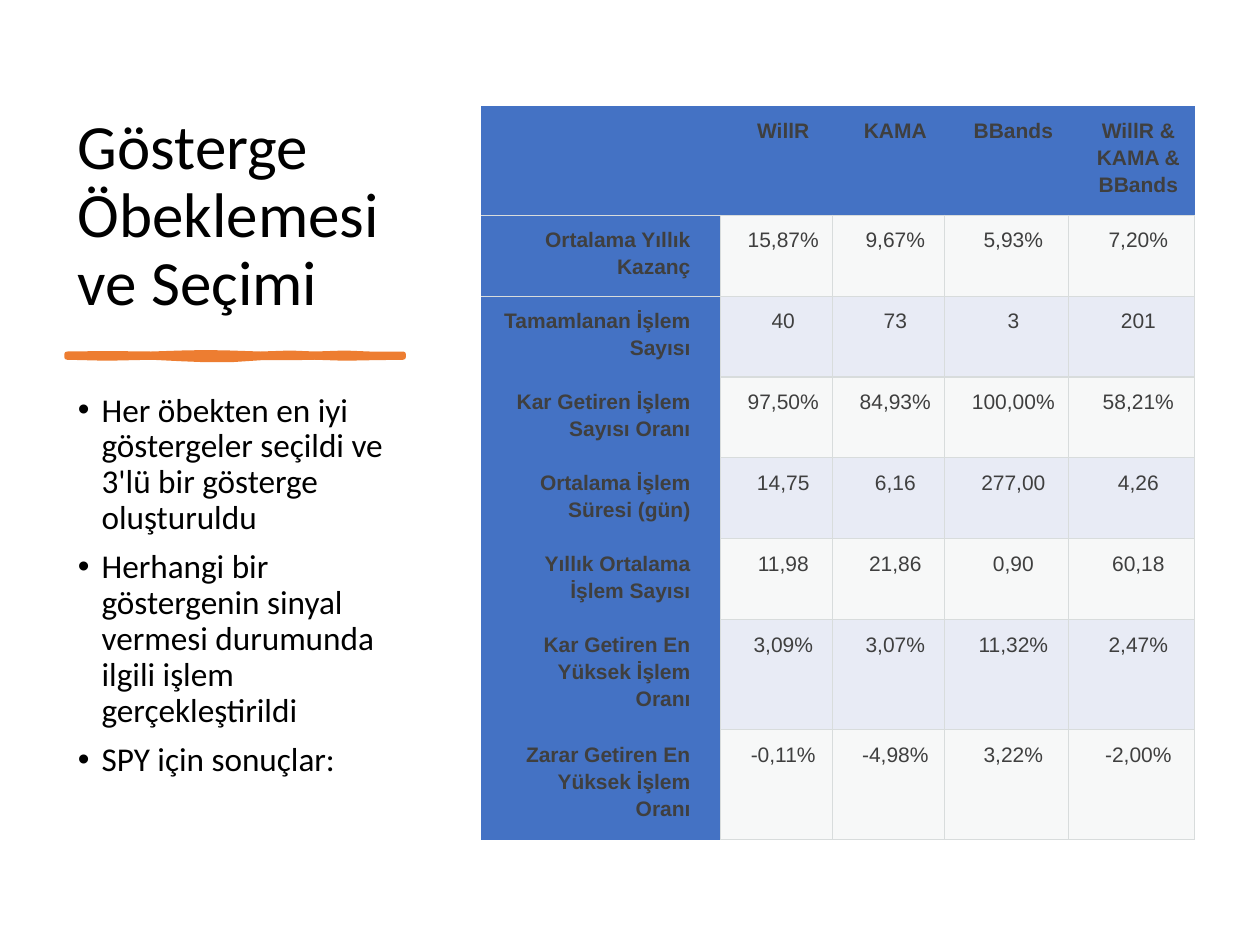
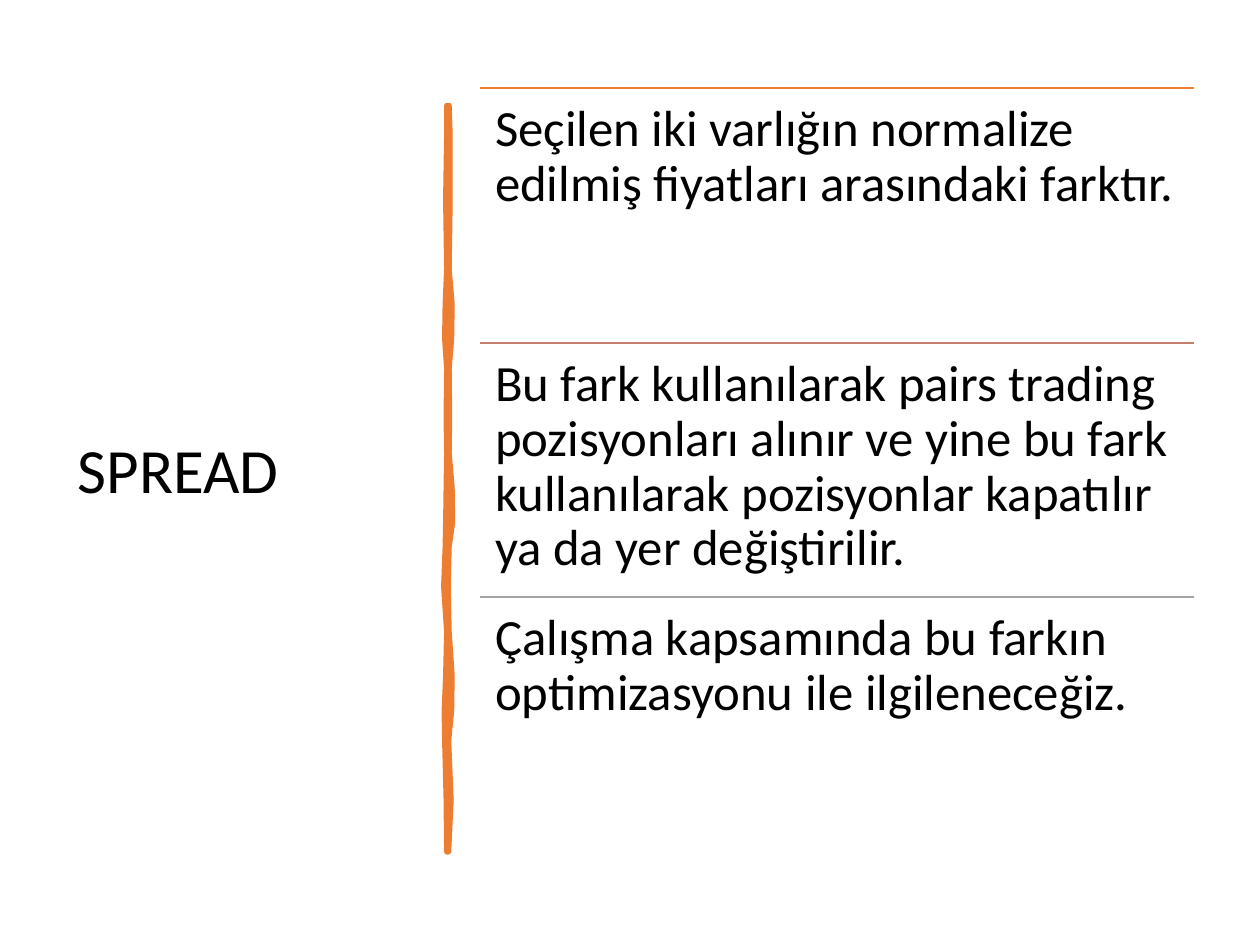
from lxml.etree import SubElement
from pptx import Presentation
from pptx.dml.color import RGBColor
from pptx.enum.shapes import MSO_CONNECTOR as Connector
from pptx.enum.text import MSO_ANCHOR as Anchor, PP_ALIGN as Align
from pptx.oxml.ns import qn
from pptx.util import Cm, Pt

NO_GRID_STYLE = "{2D5ABB26-0587-4C30-8999-92F81FD0307C}"


def color(value):
    """Turn a hex string into a colour."""
    return RGBColor.from_string(value)


class Page:
    """Holds the shared style and draws on the current slide."""

    BLACK, ORANGE, BLUE = "000000", "ED7D31", "4472C4"
    GRAY, LAVENDER, BORDER, CELL_TEXT = "D8DEDC", "E8EBF5", "D8DCDC", "3F3F3F"
    FONT, TABLE_FONT = "Calibri", "Arial"
    LEFT, TOP, SIDE_WIDTH = 1.32, 1.78, 7.12

    def __init__(self, deck):
        """Add a blank slide to the deck."""
        self.slide = deck.slides.add_slide(deck.slide_layouts[6])

    def span(self, para, text, size, font=FONT, ink=BLACK, bold=False, spacing=0.9):
        """Add one styled run to a paragraph."""
        para.line_spacing = spacing
        span = para.add_run()
        span.text = text
        span.font.size, span.font.name, span.font.bold = Pt(size), font, bold
        span.font.color.rgb = color(ink)

    def text(self, place, lines, size, anchor=Anchor.TOP, inset=(0.25, 0.13), bullet=False):
        """Draw a wrapped text box with one paragraph per line."""
        frame = self.slide.shapes.add_textbox(*map(Cm, place)).text_frame
        frame.word_wrap, frame.vertical_anchor = True, anchor
        frame.margin_left = frame.margin_right = Cm(inset[0])
        frame.margin_top = frame.margin_bottom = Cm(inset[1])
        for index, line in enumerate(lines):
            para = frame.add_paragraph() if index else frame.paragraphs[0]
            self.span(para, line, size)
            if bullet:
                para.space_before = Pt(7.5 if index else 0)
                self.bullet(para)

    def bullet(self, para):
        """Give a paragraph a hanging round bullet."""
        props = para._p.get_or_add_pPr()
        props.set("marL", str(Cm(0.48)))
        props.set("indent", str(-Cm(0.48)))
        SubElement(SubElement(props, qn("a:buClr")), qn("a:srgbClr"), val=self.BLACK)
        SubElement(props, qn("a:buFont"), typeface=self.TABLE_FONT)
        SubElement(props, qn("a:buChar"), char="•")

    def title(self, text, height, anchor):
        """Draw the slide title in the left column."""
        self.text((self.LEFT, self.TOP, self.SIDE_WIDTH, height), [text], 36, anchor)

    def brush(self, left, top, profile, width, vertical=False):
        """Draw a brush stroke from (along, near edge, far edge) stations."""
        outline = [(along, near) for along, near, far in profile]
        outline += [(along, far) for along, near, far in reversed(profile)]
        if vertical:
            outline = [(across, along) for along, across in outline]
        points = [(Cm(left + x), Cm(top + y)) for x, y in outline]
        builder = self.slide.shapes.build_freeform(*points[0])
        builder.add_line_segments(points[1:], close=True)
        shape = builder.convert_to_shape()
        shape.shadow.inherit = False
        shape.fill.solid()
        shape.fill.fore_color.rgb = shape.line.color.rgb = color(self.ORANGE)
        shape.line.width = Pt(width)
        SubElement(shape.line._get_or_add_ln(), qn("a:round"))

    def rule(self, left, top, width, ink):
        """Draw a thin horizontal line."""
        ends = map(Cm, (left, top, left + width, top))
        line = self.slide.shapes.add_connector(Connector.STRAIGHT, *ends)
        line.line.color.rgb, line.line.width = color(ink), Pt(1)
        SubElement(line._element.spPr, qn("a:effectLst"))

    def cell(self, cell, text, fill, sides, label=False, bold=False, alpha=None):
        """Fill one table cell with its text, borders and background."""
        props = cell._tc.get_or_add_tcPr()
        for side in sides:
            edge = SubElement(props, qn(f"a:ln{side}"), w=str(Pt(0.75)))
            SubElement(SubElement(edge, qn("a:solidFill")), qn("a:srgbClr"), val=self.BORDER)
        cell.fill.solid()
        cell.fill.fore_color.rgb = color(fill)
        if alpha:
            tint = props.find(f"{qn('a:solidFill')}/{qn('a:srgbClr')}")
            SubElement(tint, qn("a:alpha"), val=str(alpha * 1000))
        cell.margin_left, cell.margin_right = Cm(0.41), Cm(0.61 if label else 0.15)
        cell.margin_top = cell.margin_bottom = Cm(0.2)
        para = cell.text_frame.paragraphs[0]
        para.alignment = Align.RIGHT if label else Align.CENTER
        if text:
            self.span(para, text, 12, self.TABLE_FONT, self.CELL_TEXT, bold, 1.15)

    def table(self, left, top, widths, heights, rows):
        """Draw a table with a blue header row and a blue label column."""
        size = map(Cm, (left, top, sum(widths), sum(heights)))
        table = self.slide.shapes.add_table(len(rows), len(widths), *size).table
        table.first_row = table.horz_banding = False
        table._tbl.tblPr.find(qn("a:tableStyleId")).text = NO_GRID_STYLE
        for column, width in zip(table.columns, widths):
            column.width = Cm(width)
        for r, (height, values) in enumerate(zip(heights, rows)):
            table.rows[r].height = Cm(height)
            for c, value in enumerate(values):
                cell = table.cell(r, c)
                if r == 0:
                    self.cell(cell, value, self.BLUE, "B", bold=True)
                elif c == 0:
                    self.cell(cell, value, self.BLUE, "RT" if r == 1 else "R", True, True)
                elif r % 2:
                    self.cell(cell, value, self.GRAY, "LRTB", alpha=20)
                else:
                    self.cell(cell, value, self.LAVENDER, "LRTB")


def indicator_page(deck):
    """Build the slide on choosing indicators."""
    page = Page(deck)
    page.title("Gösterge Öbeklemesi ve Seçimi", 4.78, Anchor.BOTTOM)
    stroke = [
        (0, -0.03, 0.03), (0.8, -0.04, 0.05), (1.7, -0.03, 0.03), (2.3, -0.05, 0.06),
        (2.8, -0.06, 0.08), (3.3, -0.05, 0.08), (3.9, -0.03, 0.04), (4.5, -0.05, 0.04),
        (5, -0.03, 0.03), (5.6, -0.05, 0.05), (6.1, -0.03, 0.04), (6.78, -0.03, 0.03),
    ]
    page.brush(1.35, 7.17, stroke, 3)
    points = [
        "Her öbekten en iyi göstergeler seçildi ve 3'lü bir gösterge oluşturuldu",
        "Herhangi bir göstergenin sinyal vermesi durumunda ilgili işlem gerçekleştirildi",
        "SPY için sonuçlar:",
    ]
    page.text((page.LEFT, 7.8, page.SIDE_WIDTH, 9.47), points, 19, bullet=True)
    results = [
        ("", "WillR", "KAMA", "BBands", "WillR & KAMA & BBands"),
        ("Ortalama Yıllık Kazanç", "15,87%", "9,67%", "5,93%", "7,20%"),
        ("Tamamlanan İşlem Sayısı", "40", "73", "3", "201"),
        ("Kar Getiren İşlem Sayısı Oranı", "97,50%", "84,93%", "100,00%", "58,21%"),
        ("Ortalama İşlem Süresi (gün)", "14,75", "6,16", "277,00", "4,26"),
        ("Yıllık Ortalama İşlem Sayısı", "11,98", "21,86", "0,90", "60,18"),
        ("Kar Getiren En Yüksek İşlem Oranı", "3,09%", "3,07%", "11,32%", "2,47%"),
        ("Zarar Getiren En Yüksek İşlem Oranı", "-0,11%", "-4,98%", "3,22%", "-2,00%"),
    ]
    heights = [2.21] + [1.63] * 5 + [2.22] * 2
    page.table(9.7, 2.13, (4.83, 2.26, 2.26, 2.5, 2.54), heights, results)


def spread_page(deck):
    """Build the slide that explains the spread."""
    page = Page(deck)
    page.title("SPREAD", 15.52, Anchor.MIDDLE)
    stroke = [
        (0, -0.02, 0.02), (0.6, -0.02, 0.04), (1.9, -0.04, 0.04), (3.3, -0.02, 0.02),
        (4, -0.05, 0.08), (4.7, -0.06, 0.07), (5.3, -0.02, 0.02), (6.3, -0.03, 0.03),
        (7, -0.02, 0.02), (7.7, -0.03, 0.08), (8.4, -0.04, 0.09), (8.9, -0.05, 0.02),
        (9.7, -0.08, 0), (10.6, -0.02, 0.02), (11.5, -0.04, 0.08), (12.2, -0.07, 0.07),
        (12.8, -0.06, 0.01), (14, -0.03, 0.06), (15.04, -0.02, 0.01),
    ]
    page.brush(9.03, 2.13, stroke, 3.25, vertical=True)
    statements = [
        ("ED7D31", "Seçilen iki varlığın normalize edilmiş fiyatları arasındaki farktır."),
        ("C47F6E", "Bu fark kullanılarak pairs trading pozisyonları alınır ve yine bu fark "
                   "kullanılarak pozisyonlar kapatılır ya da yer değiştirilir."),
        ("A4A4A4", "Çalışma kapsamında bu farkın optimizasyonu ile ilgileneceğiz."),
    ]
    left, width, step = 9.68, 14.38, 5.13
    for index, (ink, statement) in enumerate(statements):
        top = page.TOP + index * step
        page.rule(left, top, width, ink)
        page.text((left, top, width, step), [statement], 29, inset=(0.3, 0.3))


def main():
    """Build and save the deck."""
    deck = Presentation()
    deck.slide_width, deck.slide_height = Cm(25.4), Cm(19.05)
    indicator_page(deck)
    spread_page(deck)
    deck.save("out.pptx")


if __name__ == "__main__":
    main()
